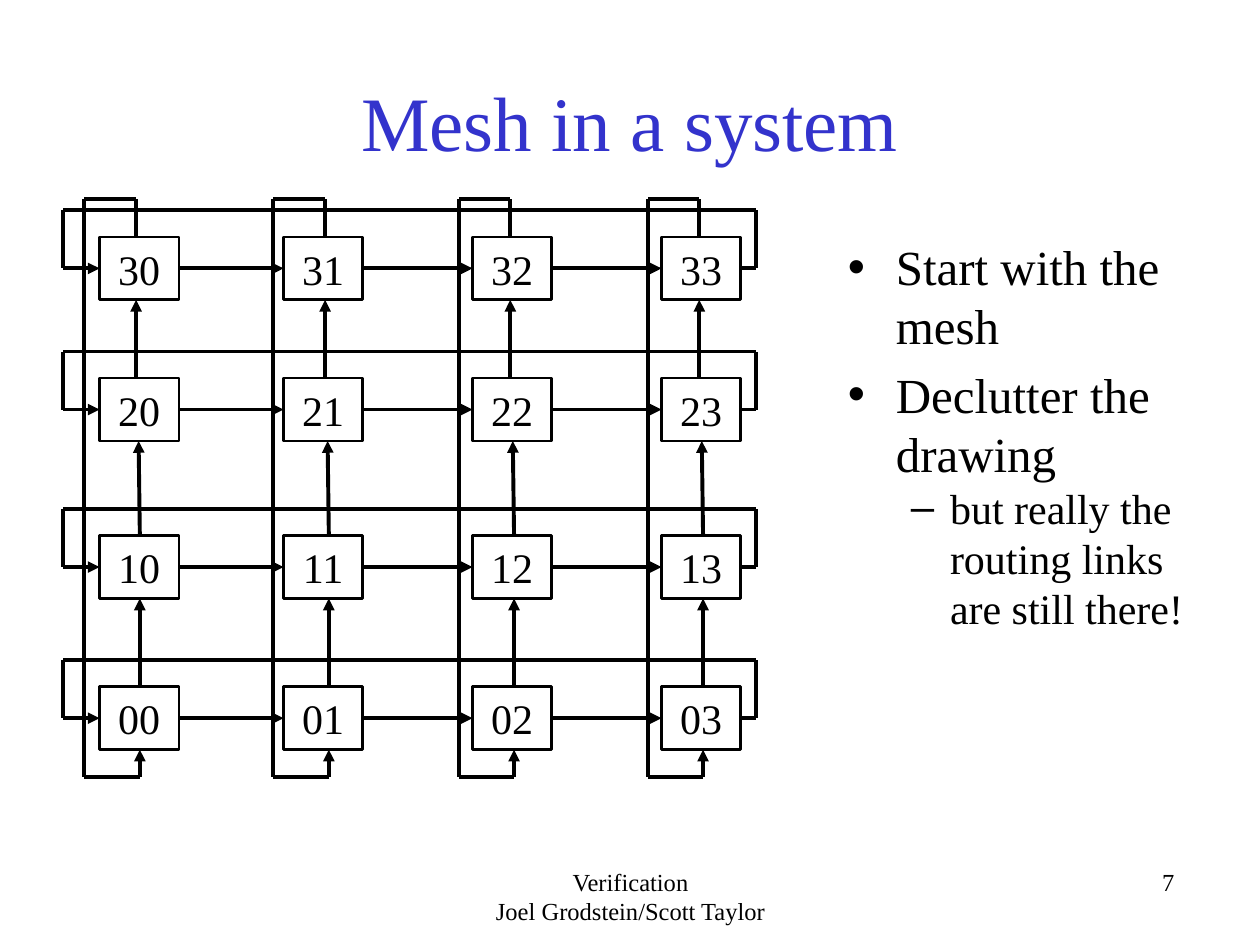
from lxml import etree
from pptx import Presentation
from pptx.dml.color import RGBColor
from pptx.enum.shapes import MSO_CONNECTOR, MSO_SHAPE
from pptx.enum.text import MSO_ANCHOR, MSO_AUTO_SIZE, PP_ALIGN
from pptx.oxml.ns import qn
from pptx.util import Inches, Pt

BLACK = RGBColor(0x00, 0x00, 0x00)
WHITE = RGBColor(0xFF, 0xFF, 0xFF)
BLUE = RGBColor(0x33, 0x33, 0xCC)
LEFT, CENTER, RIGHT = PP_ALIGN.LEFT, PP_ALIGN.CENTER, PP_ALIGN.RIGHT
TOP, MIDDLE = MSO_ANCHOR.TOP, MSO_ANCHOR.MIDDLE
NO_FIT = MSO_AUTO_SIZE.NONE
RECT = MSO_SHAPE.RECTANGLE
STRAIGHT = MSO_CONNECTOR.STRAIGHT
FONT = "Times New Roman"
COLS, ROWS = 10, 7.5

# Mesh geometry, in grid columns and rows; mesh row 0 is at the bottom.
NODE_W, NODE_H = 0.63, 0.5
NODE_X = (0.79, 2.25, 3.75, 5.25)
NODE_Y = (5.45, 4.25, 3, 1.88)
LOOP_X = (0.67, 2.17, 3.64, 5.14)
LOOP_TOP, LOOP_BOTTOM = 1.58, 6.17
LOOP_LEFT, LOOP_RIGHT = 0.5, 6
LOOP_RISE = 0.46
# Offsets from the loop line of each upward link: where it starts and ends.
UP_LINKS = ((0.44, 0.44), (0.44, 0.43), (0.41, 0.41))


def write(p, text, size=24, color=BLACK, align=LEFT, level=0):
    """Put formatted text in a paragraph."""
    p.alignment = align
    p.level = level
    r = p.add_run()
    r.text = text
    r.font.name = FONT
    r.font.size = Pt(size)
    r.font.color.rgb = color


class Deck:
    """Holds the presentation, its style and the current slide."""

    def __init__(self):
        """Start a deck with one title-and-content slide."""
        self.prs = Presentation()
        self.prs.slide_width, self.prs.slide_height = Inches(COLS), Inches(ROWS)
        self.col = self.prs.slide_width / COLS
        self.row = self.prs.slide_height / ROWS
        self.slide = self.prs.slides.add_slide(self.prs.slide_layouts[1])

    def place(self, x, y, w, h):
        """Turn columns and rows into lengths."""
        return (int(x * self.col), int(y * self.row),
                int(w * self.col), int(h * self.row))

    def move(self, sp, *box, anchor=TOP):
        """Move a placeholder and return its text frame."""
        sp.left, sp.top, sp.width, sp.height = self.place(*box)
        tf = sp.text_frame
        tf.auto_size = NO_FIT
        tf.vertical_anchor = anchor
        return tf

    def title(self, text, *box):
        """Fill the title placeholder."""
        tf = self.move(self.slide.shapes.title, *box, anchor=MIDDLE)
        write(tf.paragraphs[0], text, size=44, color=BLUE, align=CENTER)

    def bullets(self, items, *box):
        """Fill the body placeholder with (level, text) items."""
        tf = self.move(self.slide.placeholders[1], *box)
        for i, (level, text) in enumerate(items):
            p = tf.add_paragraph() if i else tf.paragraphs[0]
            write(p, text, size=(28, 24)[level], level=level)
            margin, indent = ((0.38, -0.38), (0.81, -0.31))[level]
            p_pr = p._p.get_or_add_pPr()
            p_pr.set("marL", str(Inches(margin)))
            p_pr.set("indent", str(Inches(indent)))
            if level:
                p.space_before = Pt(0)

    def label(self, lines, *box, align=CENTER):
        """Add a small text box."""
        tf = self.slide.shapes.add_textbox(*self.place(*box)).text_frame
        tf.word_wrap = True
        for i, text in enumerate(lines):
            p = tf.add_paragraph() if i else tf.paragraphs[0]
            write(p, text, size=14, align=align)

    def node(self, text, *box):
        """Add one numbered box."""
        sp = self.slide.shapes.add_shape(RECT, *self.place(*box))
        sp.shadow.inherit = False
        sp.fill.solid()
        sp.fill.fore_color.rgb = WHITE
        sp.line.color.rgb = BLACK
        sp.line.width = Pt(1.5)
        tf = sp.text_frame
        tf.word_wrap = False
        tf.vertical_anchor = MIDDLE
        write(tf.paragraphs[0], text, align=CENTER)

    def link(self, *points, arrow=True):
        """Join points with lines; the last may end in an arrowhead."""
        for start, end in zip(points, points[1:]):
            line = self.slide.shapes.add_connector(
                STRAIGHT, *self.place(*start, *end))
            line.line.color.rgb = BLACK
            line.line.width = Pt(2.25)
            etree.SubElement(line._element.spPr, qn("a:effectLst"))
        if arrow:
            etree.SubElement(line.line._get_or_add_ln(), qn("a:tailEnd"),
                             type="triangle")


def row_links(deck, top):
    """Draw the links of one mesh row and its wrap-around loop."""
    mid = top + NODE_H / 2
    for x, next_x in zip(NODE_X, NODE_X[1:]):
        deck.link((x + NODE_W, mid), (next_x, mid))
    high = mid - LOOP_RISE
    deck.link((NODE_X[-1] + NODE_W, mid), (LOOP_RIGHT, mid),
              (LOOP_RIGHT, high), (LOOP_LEFT, high), (LOOP_LEFT, mid),
              (NODE_X[0], mid))


def column_links(deck, x):
    """Draw the links of one mesh column and its wrap-around loop."""
    for (start, end), low, high in zip(UP_LINKS, NODE_Y, NODE_Y[1:]):
        deck.link((x + start, low), (x + end, high + NODE_H))
    out, back = x + UP_LINKS[-1][1], x + UP_LINKS[0][0]
    deck.link((out, NODE_Y[-1]), (out, LOOP_TOP), (x, LOOP_TOP),
              (x, LOOP_BOTTOM), (back, LOOP_BOTTOM),
              (back, NODE_Y[0] + NODE_H))


def main():
    """Build the slide and save it."""
    deck = Deck()
    deck.title("Mesh in a system", 0.75, 0.33, 8.5, 1.25)
    deck.bullets([(0, "Start with the mesh"),
                  (0, "Declutter the drawing"),
                  (1, "but really the routing links are still there!")],
                 6.63, 1.83, 3.11, 4.83)
    deck.label(["Verification", "Joel Grodstein/Scott Taylor"],
               3.42, 6.83, 3.17, 0.5)
    deck.label(["7"], 6.25, 6.83, 3.17, 0.5, align=RIGHT)
    for y in NODE_Y:
        row_links(deck, y)
    for x in LOOP_X:
        column_links(deck, x)
    for i, y in enumerate(NODE_Y):
        for j, x in enumerate(NODE_X):
            deck.node(f"{i}{j}", x, y, NODE_W, NODE_H)
    deck.prs.save("out.pptx")


main()
